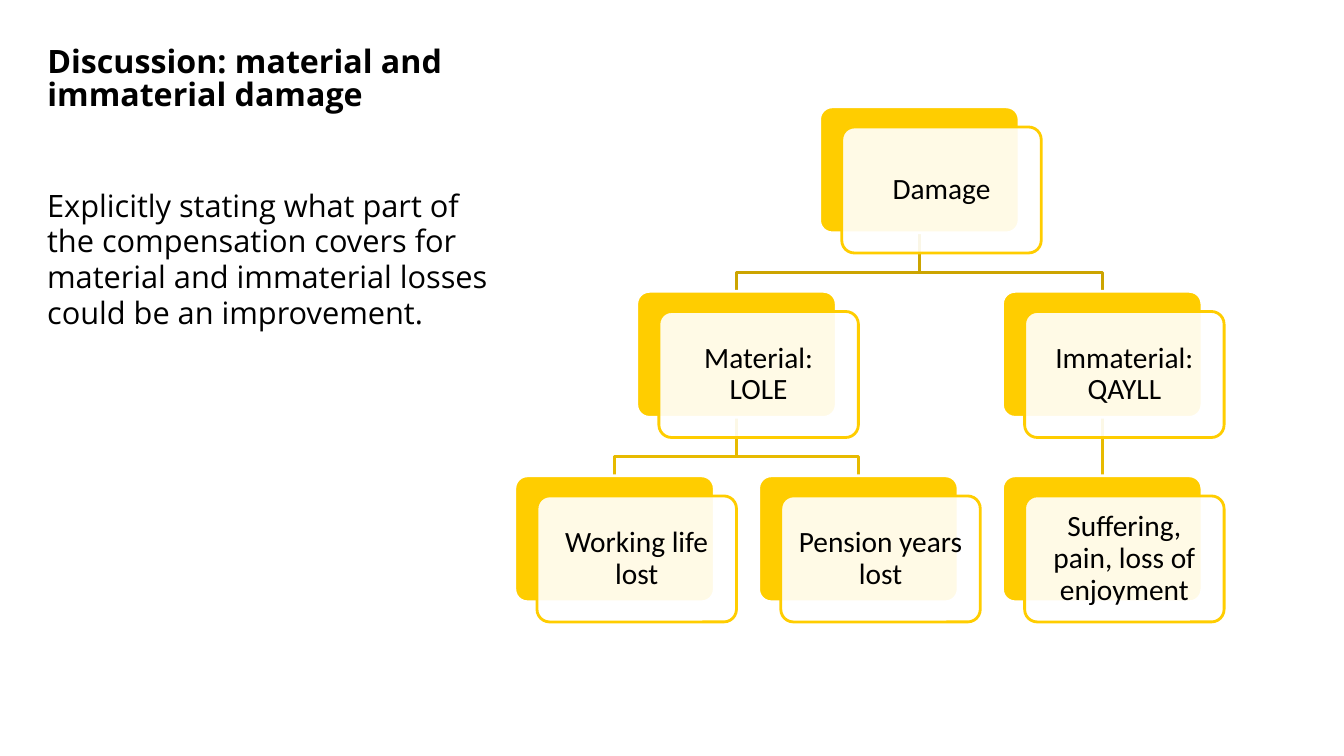
from lxml import etree
from pptx import Presentation
from pptx.dml.color import RGBColor
from pptx.enum.shapes import MSO_CONNECTOR, MSO_SHAPE
from pptx.enum.text import MSO_ANCHOR, MSO_AUTO_SIZE, PP_ALIGN
from pptx.oxml.ns import qn
from pptx.util import Pt

STRAIGHT, ROUNDED = MSO_CONNECTOR.STRAIGHT, MSO_SHAPE.ROUNDED_RECTANGLE
LEFT, CENTER = PP_ALIGN.LEFT, PP_ALIGN.CENTER
TOP, MIDDLE = MSO_ANCHOR.TOP, MSO_ANCHOR.MIDDLE
NO_AUTOFIT = MSO_AUTO_SIZE.NONE

TITLE = "Discussion: material and immaterial damage"
BODY = ("Explicitly stating what part of the compensation covers for "
        "material and immaterial losses could be an improvement.")
# Each node: (lines of text, children)
TREE = (["Damage"], [
    (["Material:", "LOLE"], [
        (["Working life lost"], []),
        (["Pension years lost"], []),
    ]),
    (["Immaterial:", "QAYLL"], [
        (["Suffering, pain, loss of enjoyment"], []),
    ]),
])

YELLOW, WHITE, BLACK = "FFCD00", "FFFFFF", "000000"
EDGE_COLORS = ["CCA400", "E7BA00"]  # by level of the parent
EMU_PER_PX = 9144  # 100 px to the inch
CARD_W, CARD_H = 198, 125
FRONT_DX, FRONT_DY = 22, 20
TREE_LEFT, TREE_TOP = 511, 106
LEAF_STEP, LEVEL_STEP = 242, 183
EDGE_DROP = 39


def px(n):
    return round(n * EMU_PER_PX)


def rgb(color):
    return RGBColor.from_string(color)


def write(tf, lines, size, font, align, anchor, spacing, margins, bold=False):
    """Fill a text frame with one paragraph, broken into the given lines."""
    tf.word_wrap = True
    tf.auto_size = NO_AUTOFIT
    tf.vertical_anchor = anchor
    (tf.margin_left, tf.margin_top,
     tf.margin_right, tf.margin_bottom) = map(px, margins)
    p = tf.paragraphs[0]
    p.alignment = align
    p.line_spacing = spacing
    for i, line in enumerate(lines):
        if i:
            p.add_line_break()
        r = p.add_run()
        r.text = line
        r.font.size, r.font.name, r.font.bold = Pt(size), font, bold
        r.font.color.rgb = rgb(BLACK)


def place(node, level, leaves, cards, edges):
    """Lay out a subtree, parents centred over children; return its left."""
    lines, children = node
    lefts = [place(c, level + 1, leaves, cards, edges) for c in children]
    if lefts:
        x = (lefts[0] + lefts[-1]) / 2
    else:
        x = TREE_LEFT + LEAF_STEP * len(leaves)
        leaves.append(x)
    cards.append((lines, x, TREE_TOP + LEVEL_STEP * level))
    edges.extend((level, x, child_x) for child_x in lefts)
    return x


def add_edge(s, level, parent_x, child_x):
    x1, x2 = parent_x + CARD_W / 2, child_x + CARD_W / 2
    y1 = TREE_TOP + LEVEL_STEP * level + CARD_H
    y2 = TREE_TOP + LEVEL_STEP * (level + 1)
    if x1 == x2:
        sp = s.shapes.add_connector(STRAIGHT, px(x1), px(y1), px(x2), px(y2))
        etree.SubElement(sp._element.spPr, qn("a:effectLst"))
    else:
        bend = y1 + EDGE_DROP
        builder = s.shapes.build_freeform(px(x1), px(y1))
        builder.add_line_segments(
            [(px(x1), px(bend)), (px(x2), px(bend)), (px(x2), px(y2))],
            close=False)
        sp = builder.convert_to_shape()
        sp.shadow.inherit = False
        sp.fill.background()
    sp.line.color.rgb = rgb(EDGE_COLORS[level])
    sp.line.width = Pt(2)


def add_panel(s, x, y, fill, line):
    sp = s.shapes.add_shape(ROUNDED, px(x), px(y), px(CARD_W), px(CARD_H))
    sp.adjustments[0] = 0.1
    sp.shadow.inherit = False
    sp.fill.solid()
    sp.fill.fore_color.rgb = rgb(fill)
    sp.line.color.rgb = rgb(line)
    sp.line.width = Pt(2)
    return sp


def add_card(s, lines, x, y):
    add_panel(s, x, y, YELLOW, WHITE)
    front = add_panel(s, x + FRONT_DX, y + FRONT_DY, WHITE, YELLOW)
    color = front._element.spPr.find(qn("a:solidFill"))[0]
    etree.SubElement(color, qn("a:alpha"), val="90000")
    write(front.text_frame, lines, 21, "Calibri", CENTER, MIDDLE, 0.9,
          (9, 9, 9, 9))


def main():
    prs = Presentation()
    prs.slide_width, prs.slide_height = px(1334), px(750)
    s = prs.slides.add_slide(prs.slide_layouts[5])

    title = s.shapes.title
    title.left, title.top, title.width, title.height = map(
        px, (37, 41, 457, 118))
    write(title.text_frame, [TITLE], 23, "Open Sans", LEFT, TOP, 0.87,
          (10, 5, 10, 5), bold=True)
    body = s.shapes.add_textbox(*map(px, (37, 182, 474, 464)))
    write(body.text_frame, [BODY], 22, "Open Sans", LEFT, TOP, 0.97,
          (10, 5, 10, 0))

    cards, edges = [], []
    place(TREE, 0, [], cards, edges)
    for edge in edges:
        add_edge(s, *edge)
    for card in cards:
        add_card(s, *card)
    prs.save("out.pptx")


if __name__ == "__main__":
    main()
